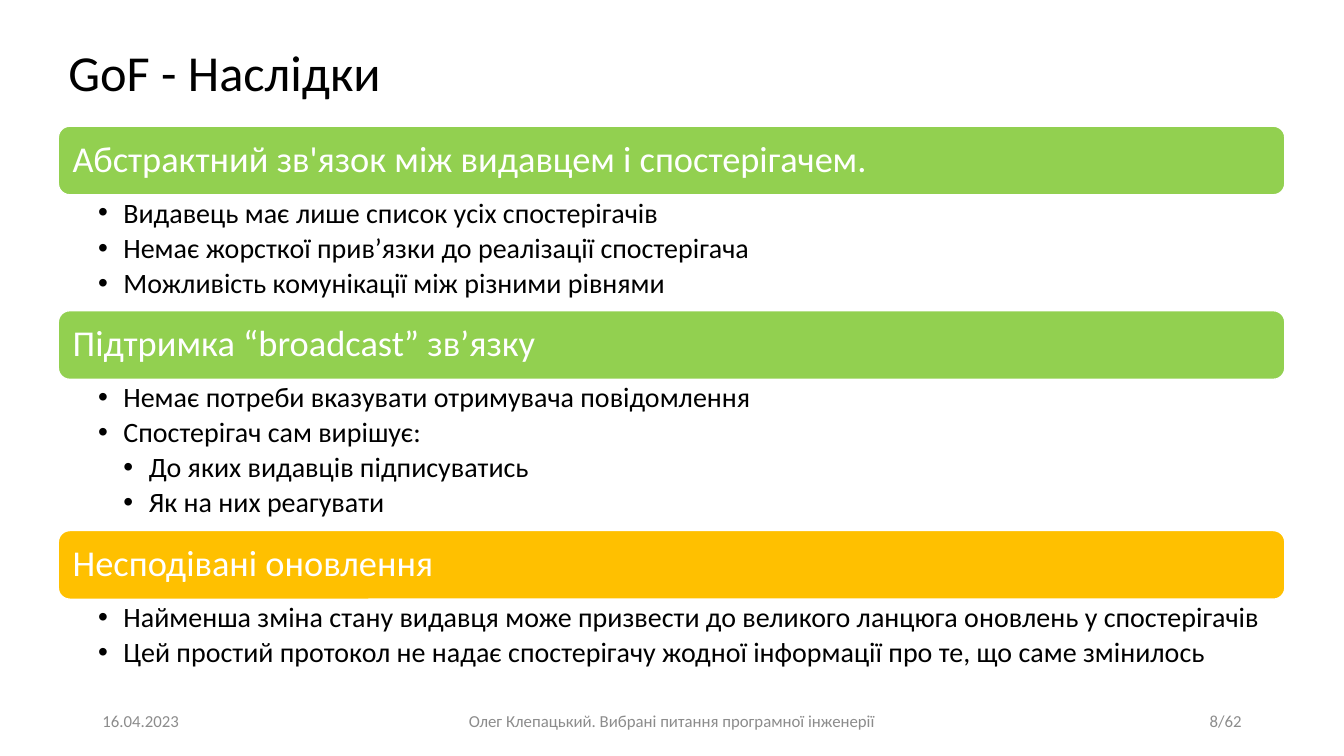
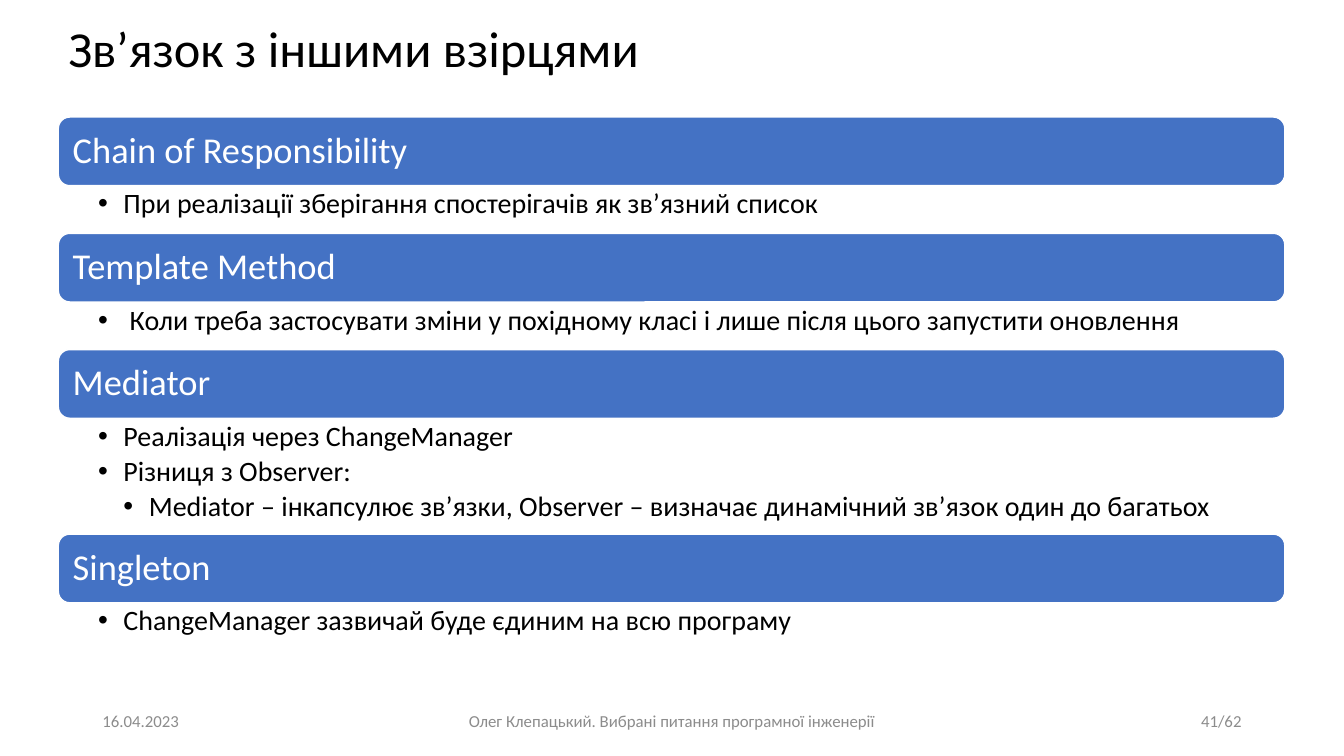
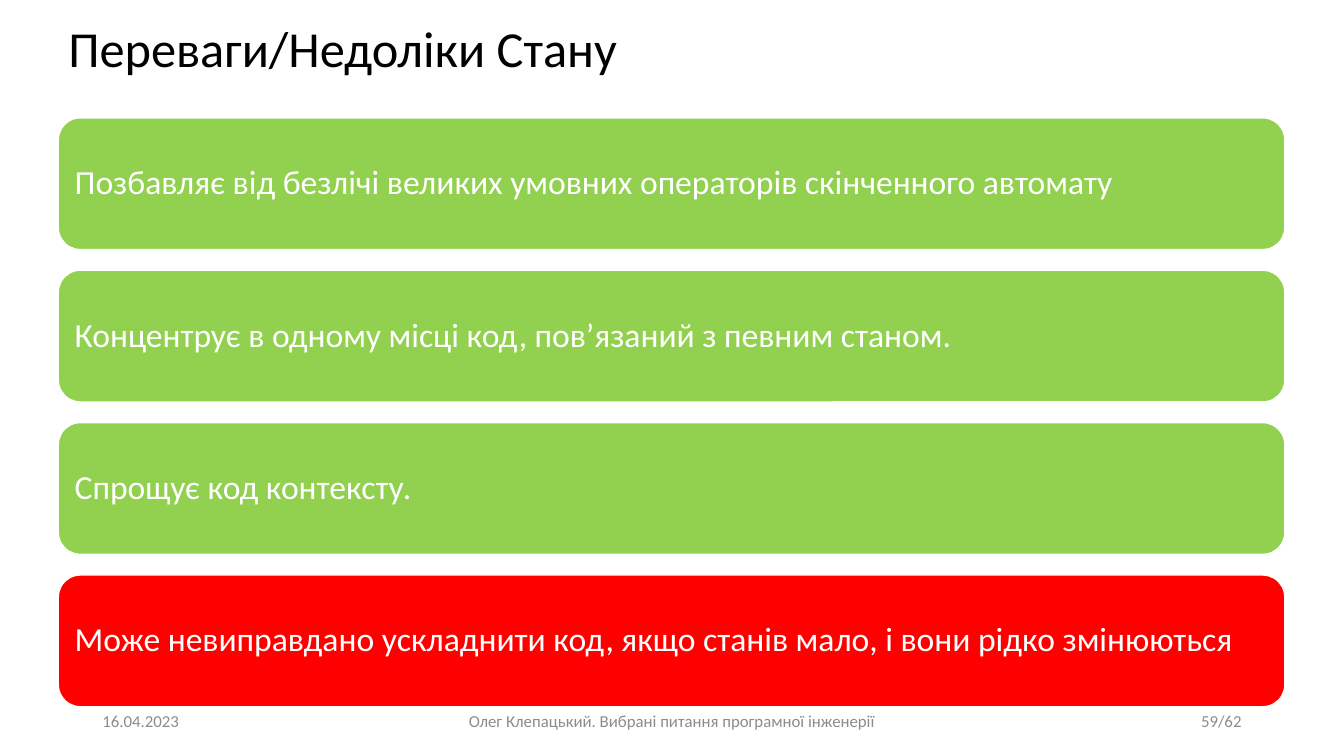
from dataclasses import dataclass

from lxml.etree import SubElement
from pptx import Presentation
from pptx.dml.color import RGBColor
from pptx.enum.shapes import MSO_SHAPE
from pptx.enum.text import MSO_ANCHOR, MSO_AUTO_SIZE, PP_ALIGN
from pptx.oxml.ns import qn
from pptx.util import Cm, Pt


@dataclass(frozen=True)
class Theme:
    font: str = "Calibri"
    black: str = "000000"
    white: str = "FFFFFF"
    grey: str = "8C8C8C"
    green: str = "92D050"
    amber: str = "FFC000"
    blue: str = "4472C4"
    red: str = "FF0000"
    title_size: float = 36
    heading_size: float = 26
    card_size: float = 24
    list_size: float = 20
    footer_size: float = 12


T = Theme()
LEFT, WIDTH = 1.47, 30.91
BANNER_HEIGHT = 1.73
CARD_HEIGHT, CARD_PITCH = 3.32, 3.84
LIST_HEIGHTS = {1: 1.2, 2: 1.96, 3: 2.92, 4: 3.81}
SECTIONS_LAYOUT, TITLE_LAYOUT = 4, 5
DATE = "16.04.2023"
COURSE = "Олег Клепацький. Вибрані питання програмної інженерії"
PAGE_COUNT = 62


def rgb(value):
    return RGBColor.from_string(value)


def place(sp, left, top, width, height):
    sp.left, sp.top, sp.width, sp.height = Cm(left), Cm(top), Cm(width), Cm(height)


def set_frame(tf, anchor=MSO_ANCHOR.MIDDLE, insets=(0.25, 0.13, 0.25, 0.13)):
    tf.word_wrap = True
    tf.auto_size = MSO_AUTO_SIZE.NONE
    tf.vertical_anchor = anchor
    tf.margin_left, tf.margin_top, tf.margin_right, tf.margin_bottom = map(Cm, insets)


def add_bullet(p, level):
    indent = Cm(0.64)
    p.level = level
    pPr = p._p.get_or_add_pPr()
    pPr.set("marL", str(indent * (level + 1)))
    pPr.set("indent", str(-indent))
    SubElement(pPr, qn("a:buFont"), typeface="Arial")
    SubElement(pPr, qn("a:buChar"), char="•")


def write(tf, text, size, color, align=PP_ALIGN.LEFT, spacing=0.9, after=0, level=None):
    p = tf.paragraphs[0] if not tf.text else tf.add_paragraph()
    if level is not None:
        add_bullet(p, level)
    p.alignment = align
    p.line_spacing = spacing
    p.space_before, p.space_after = Pt(0), Pt(after)
    r = p.add_run()
    r.text = text
    r.font.name, r.font.size, r.font.bold = T.font, Pt(size), False
    r.font.color.rgb = rgb(color)


def add_footer(slide, page):
    fields = [
        (2.33, 7.62, DATE, PP_ALIGN.LEFT),
        (11.22, 11.43, COURSE, PP_ALIGN.CENTER),
        (23.92, 7.62, f"{page}/{PAGE_COUNT}", PP_ALIGN.RIGHT),
    ]
    for left, width, text, align in fields:
        sp = slide.shapes.add_textbox(Cm(left), Cm(17.66), Cm(width), Cm(1.01))
        set_frame(sp.text_frame)
        write(sp.text_frame, text, T.footer_size, T.grey, align=align, spacing=1.0)


def add_slide(prs, layout, title, page, title_width=26.77, title_height=2.46):
    slide = prs.slides.add_slide(prs.slide_layouts[layout])
    sp = slide.shapes.title
    place(sp, LEFT, 0.05, title_width, title_height)
    set_frame(sp.text_frame)
    write(sp.text_frame, title, T.title_size, T.black)
    add_footer(slide, page)
    return slide


def add_banner(slide, text, top, height, fill, size, inset):
    sp = slide.shapes.add_shape(
        MSO_SHAPE.ROUNDED_RECTANGLE, Cm(LEFT), Cm(top), Cm(WIDTH), Cm(height))
    sp.shadow.inherit = False
    sp.fill.solid()
    sp.fill.fore_color.rgb = rgb(fill)
    sp.line.color.rgb = rgb(T.white)
    sp.line.width = Pt(1)
    set_frame(sp.text_frame, insets=(inset,) * 4)
    write(sp.text_frame, text, size, T.white)


def fill_list(sp, items, top, height):
    place(sp, LEFT, top, WIDTH, height)
    set_frame(sp.text_frame, MSO_ANCHOR.TOP, (1, 0.1, 0.5, 0.1))
    for level, text in items:
        write(sp.text_frame, text, T.list_size, T.black, after=3.5, level=level)


def add_sections(slide, top, sections):
    bodies = [sp for sp in slide.placeholders if sp.placeholder_format.idx > 0]
    for sp, (heading, fill, items) in zip(bodies, sections):
        add_banner(slide, heading, top, BANNER_HEIGHT, fill, T.heading_size, 0.28)
        top += BANNER_HEIGHT
        height = LIST_HEIGHTS[len(items)]
        fill_list(sp, items, top, height)
        top += height
    for sp in bodies[len(sections):]:
        sp._element.getparent().remove(sp._element)


def add_cards(slide, top, cards):
    for i, (text, fill) in enumerate(cards):
        add_banner(slide, text, top + i * CARD_PITCH, CARD_HEIGHT, fill, T.card_size, 0.25)


def main():
    prs = Presentation()
    prs.slide_width, prs.slide_height = Cm(33.87), Cm(19.05)

    slide = add_slide(prs, SECTIONS_LAYOUT, "GoF - Наслідки", 8,
                      title_width=21.06, title_height=3.68)
    add_sections(slide, 3.18, [
        ("Абстрактний зв'язок між видавцем і спостерігачем.", T.green, [
            (0, "Видавець має лише список усіх спостерігачів"),
            (0, "Немає жорсткої прив’язки до реалізації спостерігача"),
            (0, "Можливість комунікації між різними рівнями"),
        ]),
        ("Підтримка “broadcast” зв’язку", T.green, [
            (0, "Немає потреби вказувати отримувача повідомлення"),
            (0, "Спостерігач сам вирішує:"),
            (1, "До яких видавців підписуватись"),
            (1, "Як на них реагувати"),
        ]),
        ("Несподівані оновлення", T.amber, [
            (0, "Найменша зміна стану видавця може призвести до великого "
                "ланцюга оновлень у спостерігачів"),
            (0, "Цей простий протокол не надає спостерігачу жодної "
                "інформації про те, що саме змінилось"),
        ]),
    ])

    slide = add_slide(prs, SECTIONS_LAYOUT, "Зв’язок з іншими взірцями", 41)
    add_sections(slide, 2.95, [
        ("Chain of Responsibility", T.blue, [
            (0, "При реалізації зберігання спостерігачів як зв’язний список"),
        ]),
        ("Template Method", T.blue, [
            (0, " Коли треба застосувати зміни у похідному класі і лише "
                "після цього запустити оновлення"),
        ]),
        ("Mediator", T.blue, [
            (0, "Реалізація через ChangeManager"),
            (0, "Різниця з Observer:"),
            (1, "Mediator – інкапсулює зв’язки, Observer – визначає "
                "динамічний зв’язок один до багатьох"),
        ]),
        ("Singleton", T.blue, [
            (0, "ChangeManager зазвичай буде єдиним на всю програму"),
        ]),
    ])

    slide = add_slide(prs, TITLE_LAYOUT, "Переваги/Недоліки Стану", 59)
    add_cards(slide, 2.97, [
        ("Позбавляє від безлічі великих умовних операторів скінченного автомату", T.green),
        ("Концентрує в одному місці код, пов’язаний з певним станом.", T.green),
        ("Спрощує код контексту.", T.green),
        ("Може невиправдано ускладнити код, якщо станів мало, і вони рідко змінюються", T.red),
    ])

    prs.save("out.pptx")


if __name__ == "__main__":
    main()
